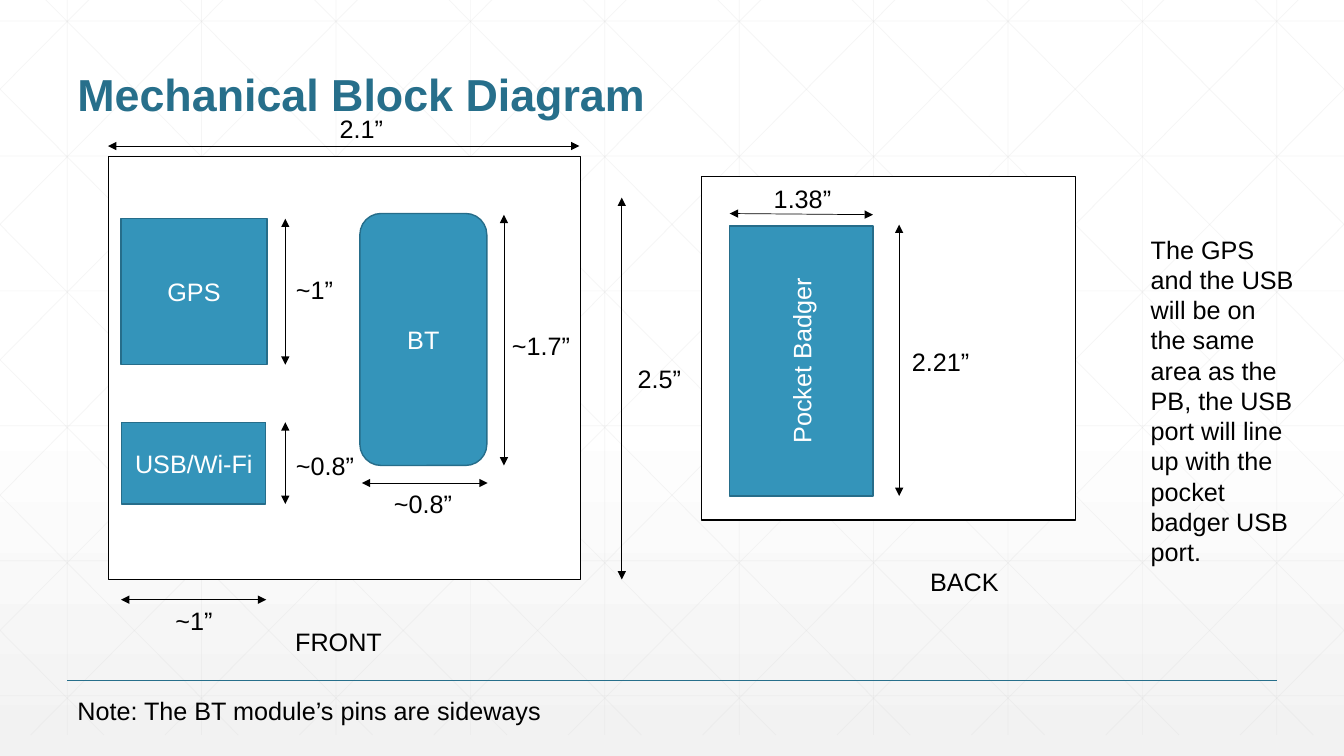
from lxml.etree import SubElement
from pptx import Presentation
from pptx.dml.color import RGBColor
from pptx.enum.shapes import MSO_CONNECTOR, MSO_SHAPE
from pptx.enum.text import MSO_ANCHOR, MSO_AUTO_SIZE, PP_ALIGN
from pptx.oxml.ns import qn
from pptx.util import Cm, Pt

WIDTH, HEIGHT = 33.87, 19.05
GRID_TOP, GRID_BOTTOM = -0.53, 18.52
COLUMN_STEP = WIDTH / 10
ROW_STEP = 3.4
DIAGONAL_RUN = 18.92
FONT = "Arial"

WHITE = RGBColor(0xFF, 0xFF, 0xFF)
BLACK = RGBColor(0, 0, 0)
PALE_GRAY = RGBColor(0xF2, 0xF2, 0xF2)
GRID_GRAY = RGBColor(0xD9, 0xD9, 0xD9)
TITLE_BLUE = RGBColor(0x27, 0x6F, 0x8B)
MODULE_BLUE = RGBColor(0x34, 0x94, 0xBA)
MODULE_EDGE = RGBColor(0x26, 0x6D, 0x8A)

PANELS = [(2.74, 3.94, 11.89, 10.67), (17.68, 4.45, 9.42, 8.66)]

# name, preset, (left, top, width, height), rotation
MODULES = [
    ("Pocket Badger", MSO_SHAPE.RECTANGLE, (16.79, 7.29, 6.81, 3.61), 270),
    ("USB/Wi-Fi", MSO_SHAPE.RECTANGLE, (3.07, 10.64, 3.63, 2.06), 0),
    ("GPS", MSO_SHAPE.RECTANGLE, (3.05, 5.51, 3.68, 3.68), 0),
    ("BT", MSO_SHAPE.ROUNDED_RECTANGLE, (9.07, 5.38, 3.2, 6.35), 0),
]

# value, arrow (x1, y1, x2, y2), label (left, top, width)
DIMENSIONS = [
    ("2.5”", (15.67, 4.98, 15.67, 14.6), (15.82, 9.02, 1.63)),
    ("2.1”", (2.72, 3.68, 14.6, 3.68), (8.31, 2.72, 1.63)),
    ("~1”", (3.05, 15.11, 6.71, 15.11), (4.17, 15.14, 1.45)),
    ("~1”", (7.19, 5.51, 7.19, 9.19), (7.21, 6.78, 1.47)),
    ("~0.8”", (7.19, 10.64, 7.19, 12.7), (7.21, 11.23, 2.01)),
    ("~0.8”", (9.12, 12.17, 12.29, 12.17), (9.68, 12.17, 2.01)),
    ("~1.7”", (12.7, 5.41, 12.7, 11.73), (12.65, 8.2, 2.01)),
    ("2.21”", (22.66, 5.66, 22.66, 12.5), (22.73, 8.59, 1.98)),
    ("1.38”", (18.39, 5.38, 22, 5.41), (19.25, 4.5, 1.98)),
]

CAPTIONS = [
    ("FRONT", (7.19, 15.65, 2.72)),
    ("BACK", (23.19, 14.15, 2.26)),
    ("Note: The BT module’s pins are sideways", (1.7, 17.4, 12.29)),
]
PLACEMENT_NOTE = (
    "The GPS and the USB will be on the same area as the PB, the USB port "
    "will line up with the pocket badger USB port."
)


def add_line(slide, ends, color, weight):
    """Draw a straight line without shadow between two points."""
    line = slide.shapes.add_connector(MSO_CONNECTOR.STRAIGHT, *map(Cm, ends))
    line.line.color.rgb = color
    line.line.width = Pt(weight)
    SubElement(line._element.spPr, qn("a:effectLst"))
    return line


def add_grid_line(slide, ends):
    """Draw one faint line of the background grid."""
    line = add_line(slide, ends, GRID_GRAY, 0.5)
    color = line._element.spPr.find(".//" + qn("a:srgbClr"))
    SubElement(color, qn("a:alpha"), val="25000")


def add_grid(slide):
    """Draw columns, rows and mirrored diagonals clipped to the slide."""
    for column in range(10):
        x = COLUMN_STEP * (column + 0.5)
        add_grid_line(slide, (x, GRID_TOP, x, GRID_BOTTOM))
    for row in range(6):
        y = 0.53 + ROW_STEP * row
        add_grid_line(slide, (0, y, WIDTH, y))
    drop = GRID_BOTTOM - GRID_TOP
    for step in range(-5, 10):
        top_x = 0.63 + COLUMN_STEP * step
        start = max(0, -top_x / DIAGONAL_RUN)
        end = min(1, (WIDTH - top_x) / DIAGONAL_RUN)
        x1, x2 = (top_x + DIAGONAL_RUN * part for part in (start, end))
        y1, y2 = (GRID_TOP + drop * part for part in (start, end))
        add_grid_line(slide, (x1, y1, x2, y2))
        add_grid_line(slide, (WIDTH - x1, y1, WIDTH - x2, y2))


def set_background(slide):
    """Fade the background from white to pale gray at the bottom."""
    fill = slide.background.fill
    fill.gradient()
    fill.gradient_angle = 270
    for stop, color, position in zip(
        fill.gradient_stops, (WHITE, PALE_GRAY), (0.53, 1)
    ):
        stop.color.rgb = color
        stop.position = position


def write(shape, text, color=BLACK, size=18, bold=False):
    """Put one formatted paragraph into a shape and return it."""
    shape.text_frame.text = text
    paragraph = shape.text_frame.paragraphs[0]
    font = paragraph.runs[0].font
    font.name, font.size, font.bold = FONT, Pt(size), bold
    font.color.rgb = color
    return paragraph


def add_label(slide, text, place, height=1.02, wrap=False):
    """Add a black text box that grows with its text."""
    box = slide.shapes.add_textbox(*map(Cm, place), Cm(height))
    write(box, text)
    box.text_frame.word_wrap = wrap
    box.text_frame.auto_size = MSO_AUTO_SIZE.SHAPE_TO_FIT_TEXT


def add_title(slide, text):
    """Add the bold heading, standing on the bottom of its box."""
    box = slide.shapes.add_textbox(Cm(1.7), Cm(0.64), Cm(30.48), Cm(2.54))
    box.text_frame.word_wrap = True
    box.text_frame.vertical_anchor = MSO_ANCHOR.BOTTOM
    write(box, text, TITLE_BLUE, 32, True).line_spacing = 0.9


def add_block(slide, preset, place, fill, edge):
    """Add a filled and outlined shape without shadow."""
    shape = slide.shapes.add_shape(preset, *map(Cm, place))
    shape.shadow.inherit = False
    shape.fill.solid()
    shape.fill.fore_color.rgb = fill
    shape.line.color.rgb = edge
    shape.line.width = Pt(1)
    return shape


def add_module(slide, name, preset, place, rotation):
    """Add a blue module with its centred name."""
    shape = add_block(slide, preset, place, MODULE_BLUE, MODULE_EDGE)
    shape.rotation = rotation
    shape.text_frame.vertical_anchor = MSO_ANCHOR.MIDDLE
    write(shape, name, WHITE).alignment = PP_ALIGN.CENTER


def add_dimension(slide, value, ends, place):
    """Add a double-headed arrow with its measurement."""
    arrow = add_line(slide, ends, BLACK, 0.5)
    outline = arrow.line._get_or_add_ln()
    for tag in ("a:headEnd", "a:tailEnd"):
        SubElement(outline, qn(tag), type="triangle")
    add_label(slide, value, place)


def main():
    """Build the slide and save it."""
    presentation = Presentation()
    presentation.slide_width, presentation.slide_height = Cm(WIDTH), Cm(HEIGHT)
    slide = presentation.slides.add_slide(presentation.slide_layouts[6])
    set_background(slide)
    add_grid(slide)
    add_line(slide, (1.7, 17.15, 32.18, 17.15), TITLE_BLUE, 1)
    add_title(slide, "Mechanical Block Diagram")
    for place in PANELS:
        add_block(slide, MSO_SHAPE.RECTANGLE, place, WHITE, BLACK)
    for module in MODULES:
        add_module(slide, *module)
    for dimension in DIMENSIONS:
        add_dimension(slide, *dimension)
    for text, place in CAPTIONS:
        add_label(slide, text, place)
    add_label(slide, PLACEMENT_NOTE, (28.75, 5.77, 4.14), 8.71, wrap=True)
    presentation.save("out.pptx")


main()
